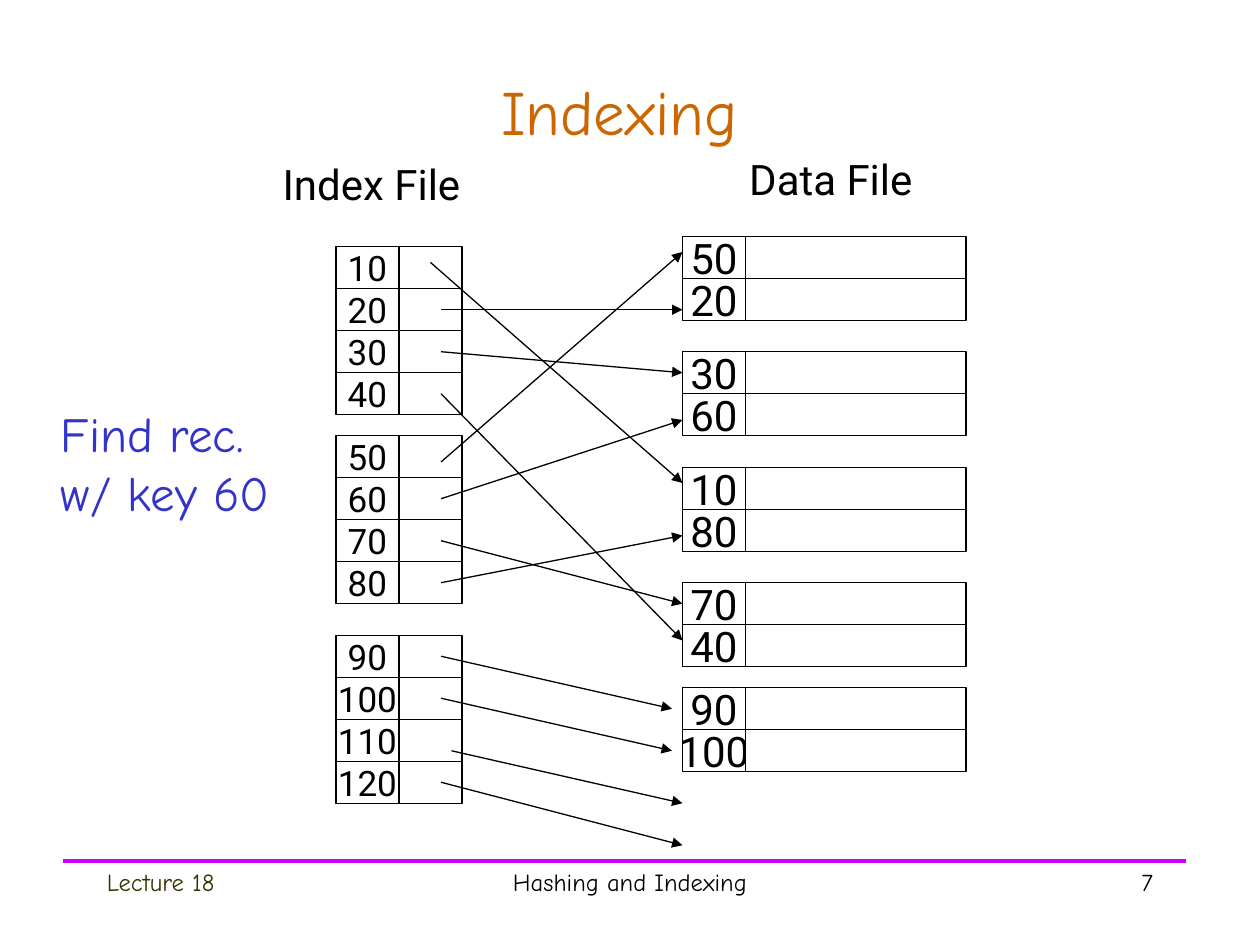
from lxml.etree import SubElement
from pptx import Presentation
from pptx.dml.color import RGBColor
from pptx.enum.shapes import MSO_CONNECTOR, MSO_SHAPE
from pptx.enum.text import MSO_ANCHOR, PP_ALIGN
from pptx.oxml.ns import qn
from pptx.util import Pt

PX = 9525  # EMU per px, 96 px to the inch
BLACK = RGBColor(0x00, 0x00, 0x00)
WHITE = RGBColor(0xFF, 0xFF, 0xFF)
ORANGE = RGBColor(0xCC, 0x66, 0x00)
BLUE = RGBColor(0x33, 0x33, 0xCC)
PURPLE = RGBColor(0xCC, 0x00, 0xFF)
OLIVE = RGBColor(0x33, 0x33, 0x00)
HAND, SANS = "Comic Neue", "Roboto"

ROW, KEY_WIDTH = 32, 48
INDEX_LEFT, INDEX_SIZE, POINTER_WIDTH = 256, 20, 48
DATA_LEFT, DATA_SIZE, RECORD_WIDTH = 520, 24, 168

# Top of each block and its keys
INDEX_BLOCKS = [
    (188, (10, 20, 30, 40)),
    (332, (50, 60, 70, 80)),
    (484, (90, 100, 110, 120)),
]
DATA_BLOCKS = [
    (180, (50, 20)),
    (268, (30, 60)),
    (356, (10, 80)),
    (444, (70, 40)),
    (524, (90, 100)),
]
# Key: start and end of its pointer
POINTERS = {
    10: (328, 200, 520, 368),
    20: (336, 236, 520, 236),
    30: (336, 268, 520, 284),
    110: (344, 572, 520, 612),
    70: (336, 412, 520, 460),
    60: (336, 380, 520, 320),
    50: (336, 352, 520, 192),
    80: (336, 444, 520, 408),
    90: (336, 500, 512, 540),
    100: (336, 532, 512, 572),
    120: (336, 596, 520, 644),
    40: (336, 300, 520, 488),
}
JOINED_KEYS = (30, 70)  # pointers that end at the middle of a key cell's side


class SlideBuilder:
    def __init__(self, page):
        self.page = page

    def add_lines(self, box, lines, size, font, color, align, anchor, wrap):
        frame = box.text_frame
        frame.word_wrap = wrap
        frame.vertical_anchor = anchor
        for number, line in enumerate(lines):
            para = frame.add_paragraph() if number else frame.paragraphs[0]
            para.alignment = align
            span = para.add_run()
            span.text = line
            span.font.size = Pt(size)
            span.font.name = font
            span.font.color.rgb = color

    def text(self, place, lines, size, font, color, align=PP_ALIGN.LEFT,
             anchor=MSO_ANCHOR.TOP, wrap=True):
        box = self.page.shapes.add_textbox(*(value * PX for value in place))
        self.add_lines(box, lines, size, font, color, align, anchor, wrap)

    def cell(self, left, top, width, label=None, size=None):
        box = self.page.shapes.add_shape(
            MSO_SHAPE.RECTANGLE, left * PX, top * PX, width * PX, ROW * PX)
        box.shadow.inherit = False
        box.fill.solid()
        box.fill.fore_color.rgb = WHITE
        box.line.color.rgb = BLACK
        box.line.width = Pt(0.75)
        if label:
            self.add_lines(box, [label], size, SANS, BLACK, PP_ALIGN.CENTER,
                           MSO_ANCHOR.MIDDLE, False)
        return box

    def block(self, left, top, keys, size, side_width):
        """Draw a stack of rows and return the key cells by key."""
        cells = {}
        for row, key in enumerate(keys):
            y = top + row * ROW
            cells[key] = self.cell(left, y, KEY_WIDTH, str(key), size)
            self.cell(left + KEY_WIDTH, y, side_width)
        return cells

    def line(self, ends, color, width, arrow=False):
        line = self.page.shapes.add_connector(
            MSO_CONNECTOR.STRAIGHT, *(value * PX for value in ends))
        line.line.color.rgb = color
        line.line.width = Pt(width)
        properties = line._element.spPr
        if arrow:
            SubElement(properties.get_or_add_ln(), qn("a:tailEnd"), type="triangle")
        SubElement(properties, qn("a:effectLst"))
        return line


def main():
    deck = Presentation()
    deck.slide_width, deck.slide_height = 960 * PX, 720 * PX
    page = deck.slides.add_slide(deck.slide_layouts[6])
    builder = SlideBuilder(page)

    # Footer rule and title
    builder.line((48, 656, 904, 656), PURPLE, 2.25)
    builder.text((40, 40, 864, 88), ["Indexing"], 36, HAND, ORANGE,
                 PP_ALIGN.CENTER, MSO_ANCHOR.MIDDLE)

    # Data file
    builder.text((558, 112, 150, 48), ["Data File"], 24, SANS, BLACK,
                 PP_ALIGN.CENTER, MSO_ANCHOR.MIDDLE, wrap=False)
    data_cells = {}
    for top, keys in DATA_BLOCKS:
        data_cells.update(
            builder.block(DATA_LEFT, top, keys, DATA_SIZE, RECORD_WIDTH))

    # Index file
    builder.text((201, 116, 164, 48), ["Index File"], 24, SANS, BLACK,
                 PP_ALIGN.CENTER, MSO_ANCHOR.MIDDLE, wrap=False)
    for top, keys in INDEX_BLOCKS:
        builder.block(INDEX_LEFT, top, keys, INDEX_SIZE, POINTER_WIDTH)

    # Pointers from index to data
    for key, ends in POINTERS.items():
        pointer = builder.line(ends, BLACK, 0.75, arrow=True)
        if key in JOINED_KEYS:
            pointer.end_connect(data_cells[key], 1)

    # Query
    builder.text((37, 303, 179, 100), ["Find rec.", "w/ key 60"], 28, HAND,
                 BLUE, wrap=False)

    # Footer
    builder.text((328, 656, 304, 48), ["Hashing and Indexing"], 14, HAND, BLACK,
                 PP_ALIGN.CENTER)
    builder.text((688, 656, 200, 48), ["7"], 14, HAND, BLACK, PP_ALIGN.RIGHT)
    builder.text((72, 656, 200, 48), ["Lecture 18"], 14, HAND, OLIVE)

    deck.save("out.pptx")


if __name__ == "__main__":
    main()
